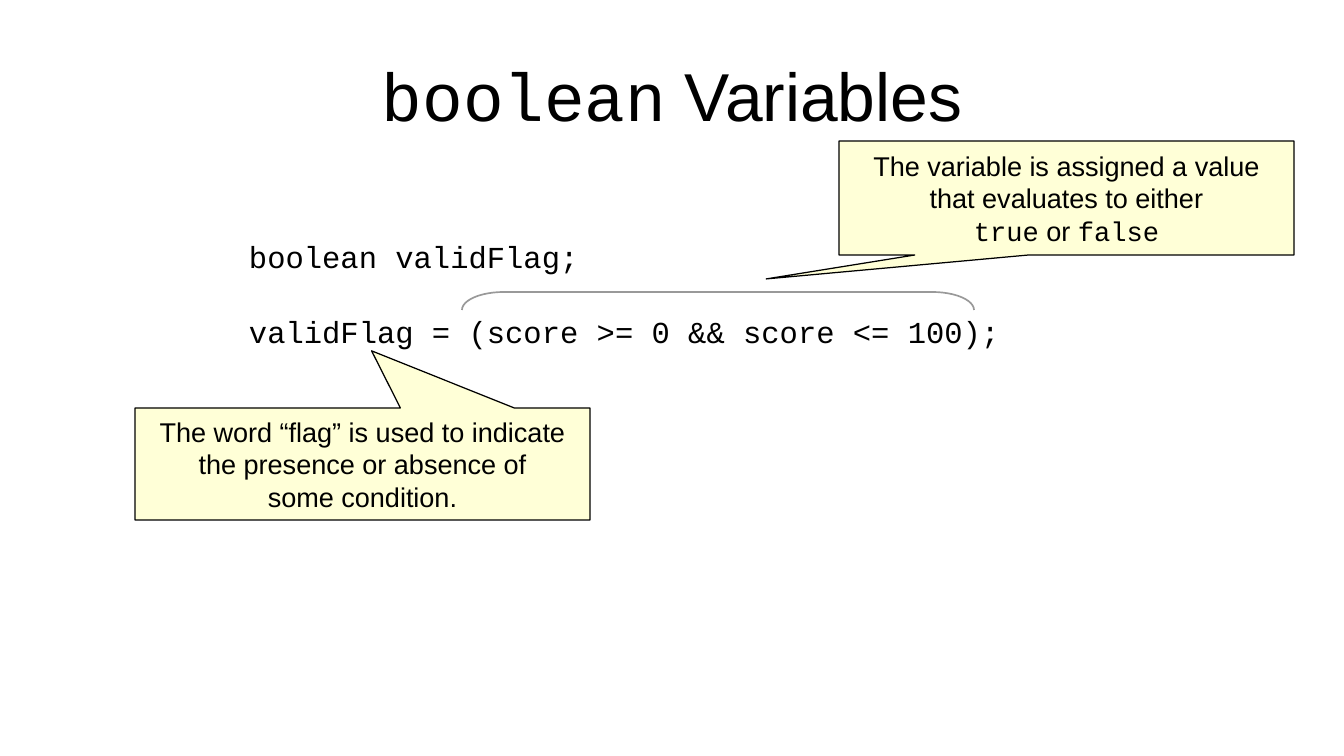
from pptx import Presentation
from pptx.dml.color import RGBColor
from pptx.enum.shapes import MSO_SHAPE as Preset
from pptx.enum.text import MSO_ANCHOR as Anchor, PP_ALIGN as Align
from pptx.util import Pt

EMU_PER_PX = 914400 / 122
COLOURS = {"text": "000000", "callout": "FFFFD7", "outline": "000000", "bracket": "999999"}
SANS, MONO = "Arial", "Courier New"


def px(*lengths):
    return [round(length * EMU_PER_PX) for length in lengths]


def add_runs(paragraph, runs, size):
    for text, font_name in runs:
        run = paragraph.add_run()
        run.text = text
        run.font.name = font_name
        run.font.size = Pt(size)
        run.font.color.rgb = RGBColor.from_string(COLOURS["text"])


presentation = Presentation()
presentation.slide_width, presentation.slide_height = px(1344, 756)
slide = presentation.slides.add_slide(presentation.slide_layouts[5])

# Title
title = slide.shapes.title
title.left, title.top, title.width, title.height = px(67, 31, 1210, 127)
frame = title.text_frame
frame.margin_left = frame.margin_right = frame.margin_top = frame.margin_bottom = 0
frame.vertical_anchor = Anchor.MIDDLE
frame.paragraphs[0].alignment = Align.CENTER
add_runs(frame.paragraphs[0], [("boolean", MONO), (" Variables", SANS)], 40)

# Code
code_box = slide.shapes.add_textbox(*px(237, 232, 775, 116))
frame = code_box.text_frame
frame.word_wrap = True
add_runs(frame.paragraphs[0], [("boolean validFlag;", MONO)], 18)
assignment = frame.add_paragraph()
assignment.space_before = Pt(22.7)
add_runs(assignment, [("validFlag = (score >= 0 && score <= 100);", MONO)], 18)

# Callouts: box, pointer tip relative to the box, lines of runs
callouts = [
    ((135, 408, 455, 112), (0.02, -1.01), [
        [("The word “flag” is used to indicate", SANS)],
        [("the presence or absence of", SANS)],
        [("some condition.", SANS)],
    ]),
    ((839, 141, 455, 114), (-0.66, 0.71), [
        [("The variable is assigned a value", SANS)],
        [("that evaluates to either", SANS)],
        [("true", MONO), (" or ", SANS), ("false", MONO)],
    ]),
]
for box, pointer, lines in callouts:
    callout = slide.shapes.add_shape(Preset.RECTANGULAR_CALLOUT, *px(*box))
    callout.shadow.inherit = False
    callout.adjustments[0], callout.adjustments[1] = pointer
    callout.fill.solid()
    callout.fill.fore_color.rgb = RGBColor.from_string(COLOURS["callout"])
    callout.line.color.rgb = RGBColor.from_string(COLOURS["outline"])
    callout.line.width = Pt(0.75)
    frame = callout.text_frame
    frame.word_wrap = False
    frame.vertical_anchor = Anchor.MIDDLE
    for index, runs in enumerate(lines):
        paragraph = frame.add_paragraph() if index else frame.paragraphs[0]
        paragraph.alignment = Align.CENTER
        paragraph.line_spacing = Pt(19.2)
        add_runs(paragraph, runs, 16)

# Bracket over the assigned expression
bracket = slide.shapes.add_shape(Preset.LEFT_BRACKET, *px(709, 45, 18, 512))
bracket.shadow.inherit = False
bracket.rotation = 90
bracket.adjustments[0] = 2.33
bracket.fill.background()
bracket.line.color.rgb = RGBColor.from_string(COLOURS["bracket"])
bracket.line.width = Pt(1)

presentation.save("out.pptx")
